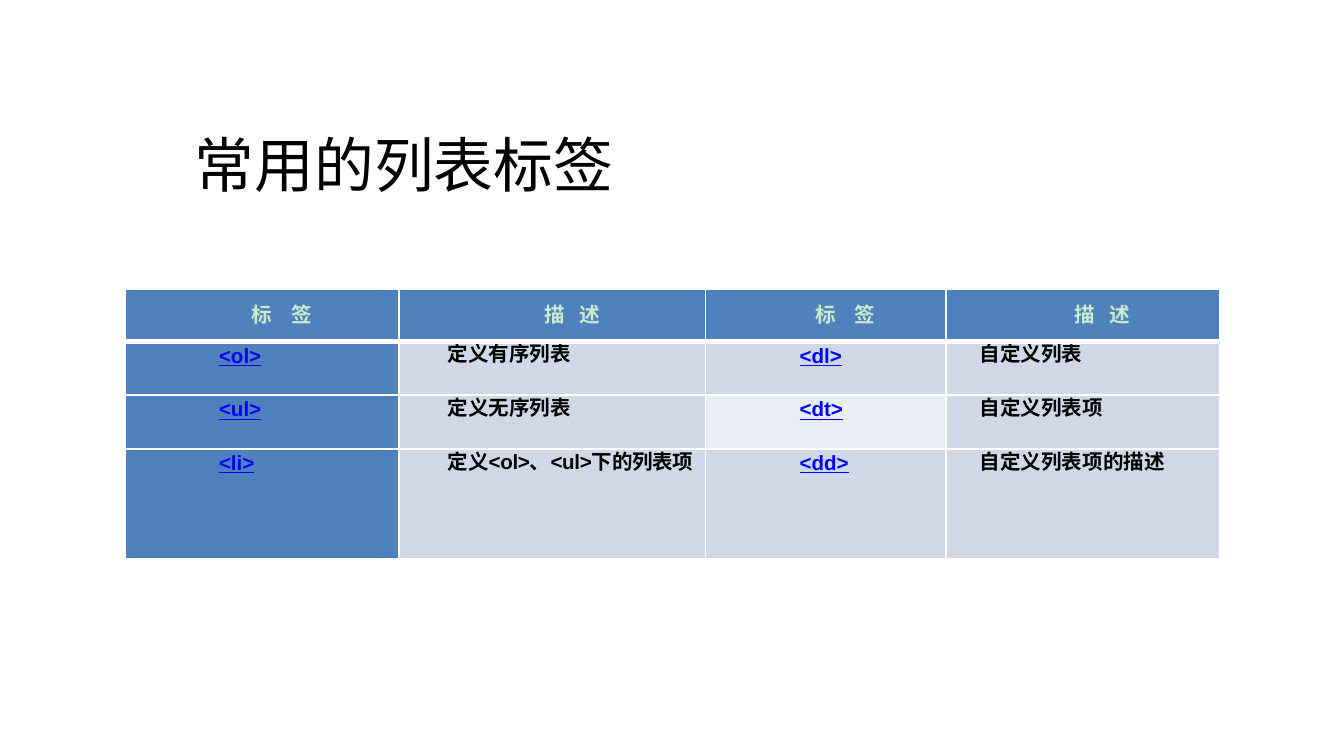
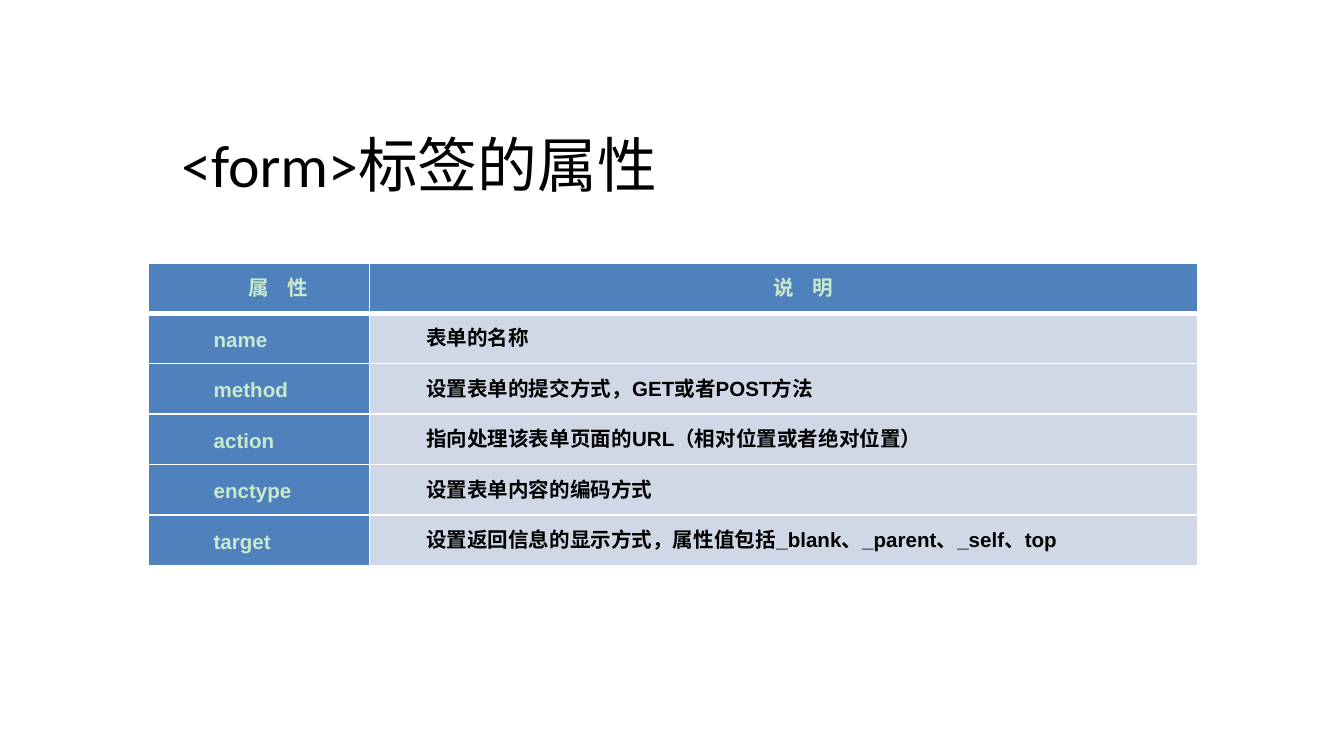
"""Build two slides of HTML tag tables."""
from dataclasses import dataclass

from lxml.etree import SubElement
from pptx import Presentation
from pptx.dml.color import RGBColor
from pptx.enum.text import MSO_ANCHOR, MSO_AUTO_SIZE, PP_ALIGN
from pptx.oxml.ns import qn
from pptx.slide import Slide
from pptx.table import _Cell
from pptx.util import Inches, Pt

BLACK = RGBColor(0, 0, 0)
WHITE = RGBColor(0xFF, 0xFF, 0xFF)
MINT = RGBColor(0xCA, 0xEA, 0xCE)
BLUE = RGBColor(0x4F, 0x81, 0xBD)
LINK = RGBColor(0, 0, 0xFF)
PALE = RGBColor(0xD0, 0xD8, 0xE8)
FAINT = RGBColor(0xE9, 0xED, 0xF4)


@dataclass(frozen=True)
class Run:
    text: str
    track: float = 0


@dataclass(frozen=True)
class Style:
    fill: RGBColor
    ink: RGBColor
    indent: float
    align: PP_ALIGN = PP_ALIGN.JUSTIFY
    anchor: MSO_ANCHOR = MSO_ANCHOR.TOP
    under: bool = False
    base: float = 1


@dataclass(frozen=True)
class Grid:
    left: float
    top: float
    cols: list[float]
    rows: list[float]
    styles: list[Style]
    head: list[list[Run]]
    body: list[list[str | list[Run]]]
    special: dict[tuple[int, int], Style]


@dataclass(frozen=True)
class Page:
    title: str
    grid: Grid


MID = MSO_ANCHOR.MIDDLE
HEAD = Style(BLUE, MINT, 0.29, PP_ALIGN.CENTER, MID, base=3)
TAG = Style(BLUE, LINK, 0.63, under=True)
SIDE = Style(PALE, LINK, 0.63, under=True)
SOFT = Style(FAINT, LINK, 0.63, under=True)
NOTE = Style(PALE, BLACK, 0.29)
MORE = Style(PALE, BLACK, 0.18)
NAME = Style(BLUE, MINT, 0.42, anchor=MID)
TEXT = Style(PALE, BLACK, 0.35, anchor=MID)

LABEL = [Run("标 ", 3.8), Run("签")]
ABOUT = [Run("描 ", 2.6), Run("述")]

PAGES = [
    Page(" 常用的列表标签", Grid(
        0.93, 2.15, [2.04, 2.28, 1.79, 2.04], [0.39, 0.4, 0.4, 0.82],
        [TAG, NOTE, SIDE, MORE],
        [LABEL, ABOUT, LABEL, ABOUT],
        [
            ["<ol>", "定义有序列表", "<dl>", "自定义列表"],
            ["<ul>", "定义无序列表", "<dt>", "自定义列表项"],
            ["<li>", [Run("定义"), Run("<ol>、<ul>下的列表项", -0.2)],
             "<dd>", "自定义列表项的描述"],
        ],
        {(2, 2): SOFT},
    )),
    Page("<form>标签的属性", Grid(
        1.1, 1.96, [1.65, 6.16], [0.37] + [(2.25 - 0.37) / 5] * 5,
        [NAME, TEXT],
        [[Run("属 ", 3.8), Run("性")], [Run("说 ", 3.8), Run("明")]],
        [
            ["name", "表单的名称"],
            ["method", "设置表单的提交方式，GET或者POST方法"],
            ["action", "指向处理该表单页面的URL（相对位置或者绝对位置）"],
            ["enctype", "设置表单内容的编码方式"],
            ["target",
             "设置返回信息的显示方式，属性值包括_blank、_parent、_self、top"],
        ],
        {},
    )),
]


def edge(cell: _Cell, base: float) -> None:
    """Draw white borders, the lower one as wide as base."""
    props = cell._tc.get_or_add_tcPr()
    sides = {"lnL": 1, "lnR": 1, "lnT": 1, "lnB": base}
    for spot, (side, width) in enumerate(sides.items()):
        line = SubElement(props, qn(f"a:{side}"), w=str(Pt(width)))
        fill = SubElement(line, qn("a:solidFill"))
        SubElement(fill, qn("a:srgbClr"), val=str(WHITE))
        props.insert(spot, line)


def fill_cell(cell: _Cell, runs: str | list[Run], style: Style) -> None:
    """Write and format one cell."""
    cell.fill.solid()
    cell.fill.fore_color.rgb = style.fill
    cell.vertical_anchor = style.anchor
    cell.margin_left = cell.margin_right = Inches(0.07)
    cell.margin_top = cell.margin_bottom = 0
    edge(cell, style.base)
    para = cell.text_frame.paragraphs[0]
    para.alignment = style.align
    para.line_spacing = Pt(14)
    props = para._p.get_or_add_pPr()
    props.set("marL", "0")
    props.set("indent", str(Inches(style.indent)))
    font = para.font
    font.name, font.size, font.bold = "Arial", Pt(11), True
    font.underline = style.under
    font.color.rgb = style.ink
    for part in [Run(runs)] if isinstance(runs, str) else runs:
        run = para.add_run()
        run.text = part.text
        if part.track:
            run._r.get_or_add_rPr().set("spc", str(round(part.track * 100)))


def add_title(slide: Slide, text: str) -> None:
    """Place and format the title."""
    title = slide.shapes.title
    title.left, title.top = Inches(1.25), Inches(0.9)
    title.width, title.height = Inches(6.08), Inches(0.67)
    frame = title.text_frame
    frame.text = text
    frame.auto_size = MSO_AUTO_SIZE.NONE
    frame.vertical_anchor = MSO_ANCHOR.TOP
    para = frame.paragraphs[0]
    para.alignment = PP_ALIGN.LEFT
    para.font.name, para.font.size = "Calibri", Pt(32)
    para.font.color.rgb = BLACK


def add_grid(slide: Slide, grid: Grid) -> None:
    """Add a table with its header and body rows."""
    table = slide.shapes.add_table(
        len(grid.rows), len(grid.cols), Inches(grid.left), Inches(grid.top),
        Inches(sum(grid.cols)), Inches(sum(grid.rows))).table
    for col, width in zip(table.columns, grid.cols):
        col.width = Inches(width)
    for row, height in zip(table.rows, grid.rows):
        row.height = Inches(height)
    for r, line in enumerate([grid.head, *grid.body]):
        for c, runs in enumerate(line):
            style = grid.special.get((r, c), grid.styles[c]) if r else HEAD
            fill_cell(table.cell(r, c), runs, style)


def main() -> None:
    """Build and save the deck."""
    deck = Presentation()
    deck.slide_width = Inches(10)
    deck.slide_height = Inches(10 * 9 / 16)
    for page in PAGES:
        slide = deck.slides.add_slide(deck.slide_layouts[5])
        add_title(slide, page.title)
        add_grid(slide, page.grid)
    deck.save("out.pptx")


main()
